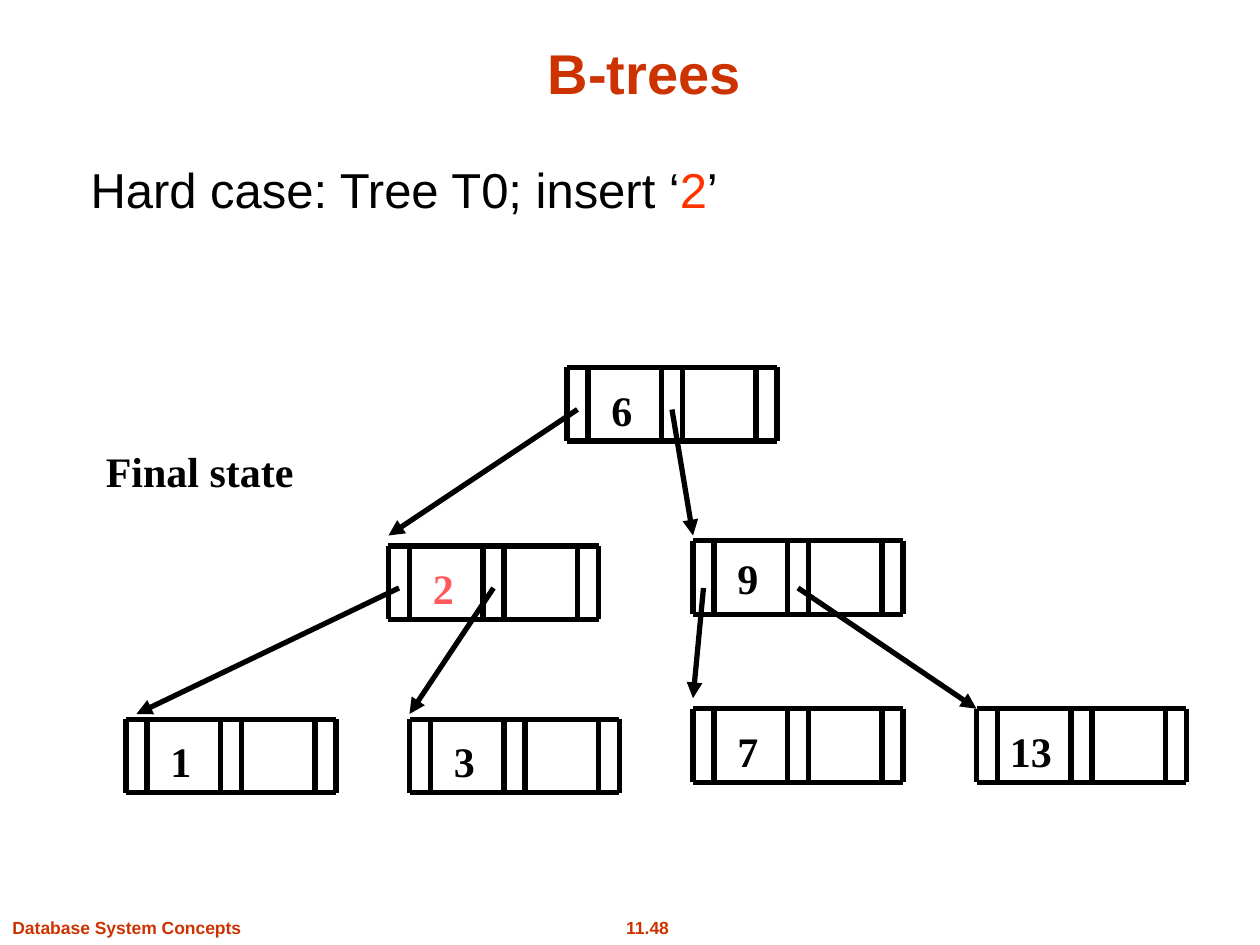
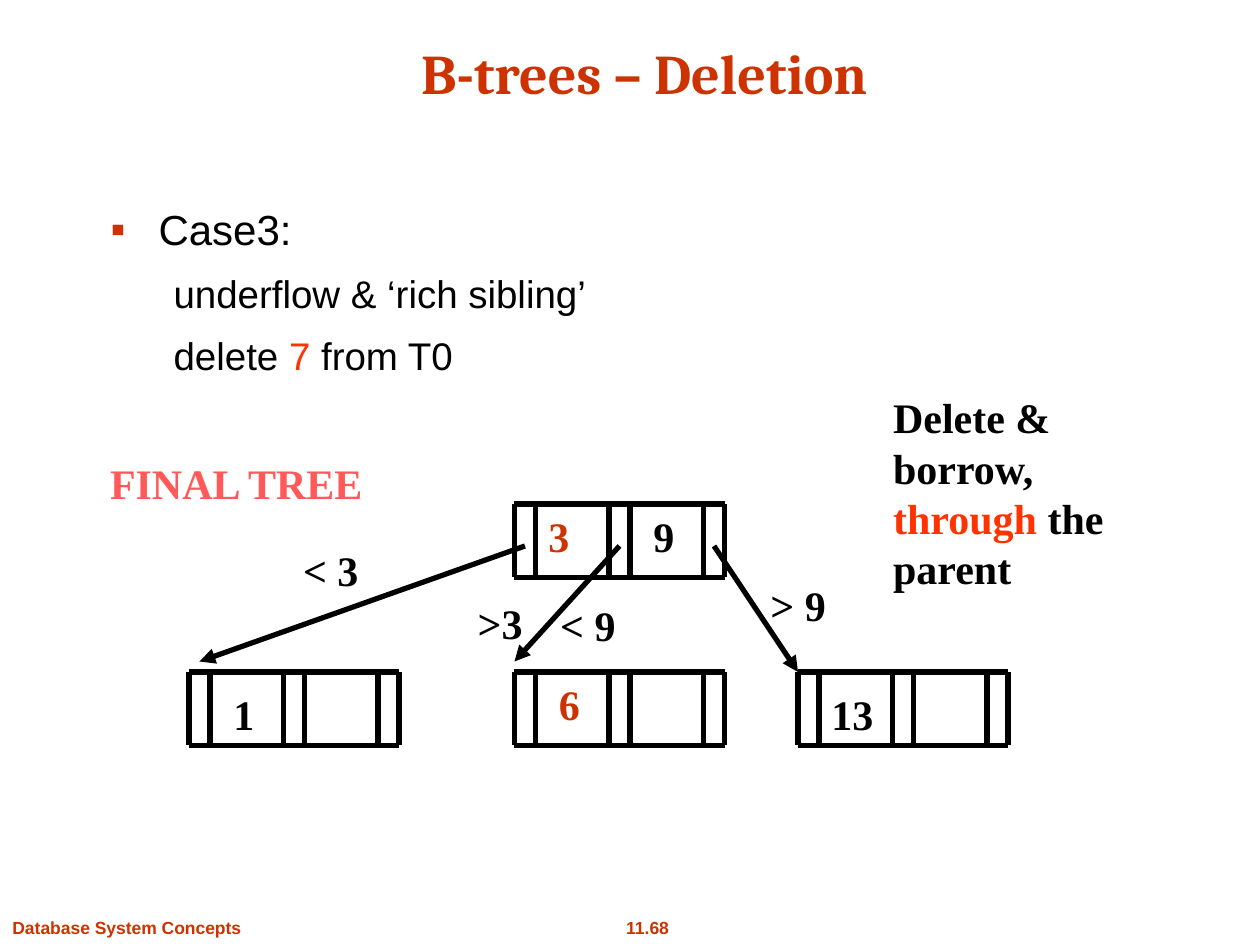
from pptx import Presentation
from pptx.dml.color import RGBColor
from pptx.enum.shapes import MSO_CONNECTOR
from pptx.enum.text import MSO_ANCHOR, PP_ALIGN
from pptx.oxml.ns import qn
from pptx.util import Inches, Pt
from lxml import etree

STRAIGHT = MSO_CONNECTOR.STRAIGHT
LEFT, CENTER = PP_ALIGN.LEFT, PP_ALIGN.CENTER
TOP, BOTTOM = MSO_ANCHOR.TOP, MSO_ANCHOR.BOTTOM

BLACK, RUST, RED, CORAL = "000000", "CC3300", "FF3300", "FF5959"
SANS, SERIF, TITLE_SERIF = "Arial", "Times New Roman", "Cambria"

UNIT = 1 / 12
NODE_COLUMNS = (0, 2, 9, 11, 18, 20)
NODE_WIDTH, NODE_HEIGHT = 20, 7
POINTER_COLUMNS = (1, 10, 19)
LINE_WIDTH = 3
PARAGRAPH_GAP = 9

FOOTER = {"name": SANS, "size": 10, "bold": True, "color": RUST}
TITLE = {"name": SANS, "size": 32, "bold": True, "color": RUST}
LABEL = {"name": SERIF, "size": 24, "bold": True, "color": BLACK}
BODY = {"name": SANS, "size": 28, "bold": False, "color": BLACK}

# Node: column, row, keys as (text, column offset, row offset, color).
# Pointer: node index, slot, start row, end column, end row.
SLIDES = [
    {
        "number": "11.48",
        "title": "B-trees",
        "title_font": SANS,
        "body_box": (0.62, 1.22, 8.58, 0.79),
        "body": [
            {"runs": [("Hard case: Tree T0; insert ‘", BLACK), ("2", RED), ("’", BLACK)],
             "size": 28, "indent": (0.38, -0.38)},
        ],
        "nodes": [
            (54, 35, [("6", 3, 1, BLACK)]),
            (37, 52, [("2", 3, 1, CORAL)]),
            (66, 51.5, [("9", 3, 0.5, BLACK)]),
            (12, 68.5, [("1", 3, 1, BLACK)]),
            (39, 68.5, [("3", 3, 1, BLACK)]),
            (66, 67.5, [("7", 3, 1, BLACK)]),
            (93, 67.5, [("13", 2, 1, BLACK)]),
        ],
        "pointers": [
            (0, 0, 39, 37, 51), (0, 1, 39, 66, 51),
            (1, 0, 56, 13, 68), (1, 1, 56, 39, 68),
            (2, 0, 56, 66, 66.5), (2, 1, 56, 93, 67.5),
        ],
        "labels": [((0.67, 3.49, 1.83, 0.5), [("Final state", BLACK)], CENTER)],
    },
    {
        "number": "11.68",
        "title": "B-trees – Deletion",
        "title_font": TITLE_SERIF,
        "body_box": (0.78, 1.57, 8.58, 1.17),
        "body": [
            {"runs": [("Case3:", BLACK)], "size": 24, "indent": (0.38, -0.38), "bullet": "▪"},
            {"runs": [("underflow & ‘rich sibling’", BLACK)], "size": 22, "indent": (0.81, -0.31)},
            {"runs": [("delete ", BLACK), ("7", RED), (" from T0", BLACK)],
             "size": 22, "indent": (0.81, -0.31)},
        ],
        "nodes": [
            (49, 48, [("3", 2, 0, RUST), ("9", 12, 0, BLACK)]),
            (18, 64, [("1", 3, 1, BLACK)]),
            (49, 64, [("6", 3, 0, RUST)]),
            (76, 64, [("13", 2, 1, BLACK)]),
        ],
        "pointers": [(0, 0, 52, 19, 63), (0, 1, 52, 49, 63), (0, 2, 52, 76, 64)],
        "labels": [
            ((2.3, 4.27, 0.65, 0.5), [("< 3", BLACK)], CENTER),
            ((3.69, 4.69, 0.56, 0.5), [(">3", BLACK)], CENTER),
            ((4.34, 4.71, 0.65, 0.5), [("< 9", BLACK)], CENTER),
            ((6.01, 4.55, 0.65, 0.5), [("> 9", BLACK)], CENTER),
            ((6.99, 3.06, 2.33, 1.7),
             [("Delete & borrow, ", BLACK), ("through", RED), (" the parent", BLACK)], LEFT),
            ((0.5, 3.58, 2.75, 0.5), [("FINAL TREE", CORAL)], CENTER),
        ],
    },
]


def rgb(color):
    return RGBColor.from_string(color)


def grid(value):
    return Inches(value * UNIT)


def add_runs(paragraph, runs, style):
    for text, color in runs:
        run = paragraph.add_run()
        run.text = text
        values = {"name": style["name"], "size": Pt(style["size"]), "bold": style["bold"]}
        for attribute, value in values.items():
            setattr(run.font, attribute, value)
        run.font.color.rgb = rgb(color)


def add_text(slide, box, runs, style, align=LEFT, anchor=TOP, wrap=True):
    shape = slide.shapes.add_textbox(*map(Inches, box))
    frame = shape.text_frame
    for attribute, value in {"word_wrap": wrap, "vertical_anchor": anchor}.items():
        setattr(frame, attribute, value)
    paragraph = frame.paragraphs[0]
    paragraph.alignment = align
    add_runs(paragraph, runs, style)
    return frame


def set_indent(paragraph, indent, bullet):
    properties = paragraph._p.get_or_add_pPr()
    for attribute, length in zip(("marL", "indent"), indent):
        properties.set(attribute, str(Inches(length)))
    if bullet:
        color = etree.SubElement(properties, qn("a:buClr"))
        etree.SubElement(color, qn("a:srgbClr"), val=RUST)
        etree.SubElement(properties, qn("a:buFont"), typeface=SANS)
        etree.SubElement(properties, qn("a:buChar"), char=bullet)
    else:
        etree.SubElement(properties, qn("a:buNone"))


def add_body(slide, box, items):
    frame = add_text(slide, box, [], BODY)
    for index, item in enumerate(items):
        paragraph = frame.add_paragraph() if index else frame.paragraphs[0]
        set_indent(paragraph, item["indent"], item.get("bullet"))
        if index:
            paragraph.space_before = Pt(PARAGRAPH_GAP)
        add_runs(paragraph, item["runs"], {**BODY, "size": item["size"]})


def add_line(shapes, start, end, arrow=False):
    connector = shapes.add_connector(STRAIGHT, *map(grid, (*start, *end)))
    connector.line.color.rgb = rgb(BLACK)
    connector.line.width = Pt(LINE_WIDTH)
    properties = connector._element.spPr
    if arrow:
        etree.SubElement(properties.find(qn("a:ln")), qn("a:tailEnd"), type="triangle")
    etree.SubElement(properties, qn("a:effectLst"))


def add_node(slide, left, top, keys):
    group = slide.shapes.add_group_shape()
    for column in NODE_COLUMNS:
        add_line(group.shapes, (left + column, top), (left + column, top + NODE_HEIGHT))
    for row in (top, top + NODE_HEIGHT):
        add_line(group.shapes, (left, row), (left + NODE_WIDTH, row))
    for text, column, row, color in keys:
        box = ((left + column) * UNIT, (top + row) * UNIT, 0.21 + 0.16 * len(text), 0.5)
        add_text(slide, box, [(text, color)], LABEL, CENTER, wrap=False)


def add_slide(presentation, content):
    slide = presentation.slides.add_slide(presentation.slide_layouts[6])
    add_text(slide, (4.86, 7.23, 0.56, 0.27), [(content["number"], RUST)], FOOTER, CENTER, wrap=False)
    add_text(slide, (0, 7.23, 2.02, 0.27), [("Database System Concepts", RUST)], FOOTER, wrap=False)
    add_text(slide, (0.7, 0.22, 8.83, 0.67), [(content["title"], RUST)],
             {**TITLE, "name": content["title_font"]}, CENTER, BOTTOM)
    add_body(slide, content["body_box"], content["body"])
    for node in content["nodes"]:
        add_node(slide, *node)
    for node, slot, row, end_column, end_row in content["pointers"]:
        start = (content["nodes"][node][0] + POINTER_COLUMNS[slot], row)
        add_line(slide.shapes, start, (end_column, end_row), arrow=True)
    for box, runs, align in content["labels"]:
        add_text(slide, box, runs, LABEL, align, wrap=box[2] > 1)


def main():
    presentation = Presentation()
    presentation.slide_width = Inches(10)
    presentation.slide_height = Inches(7.5)
    for content in SLIDES:
        add_slide(presentation, content)
    presentation.save("out.pptx")


if __name__ == "__main__":
    main()
